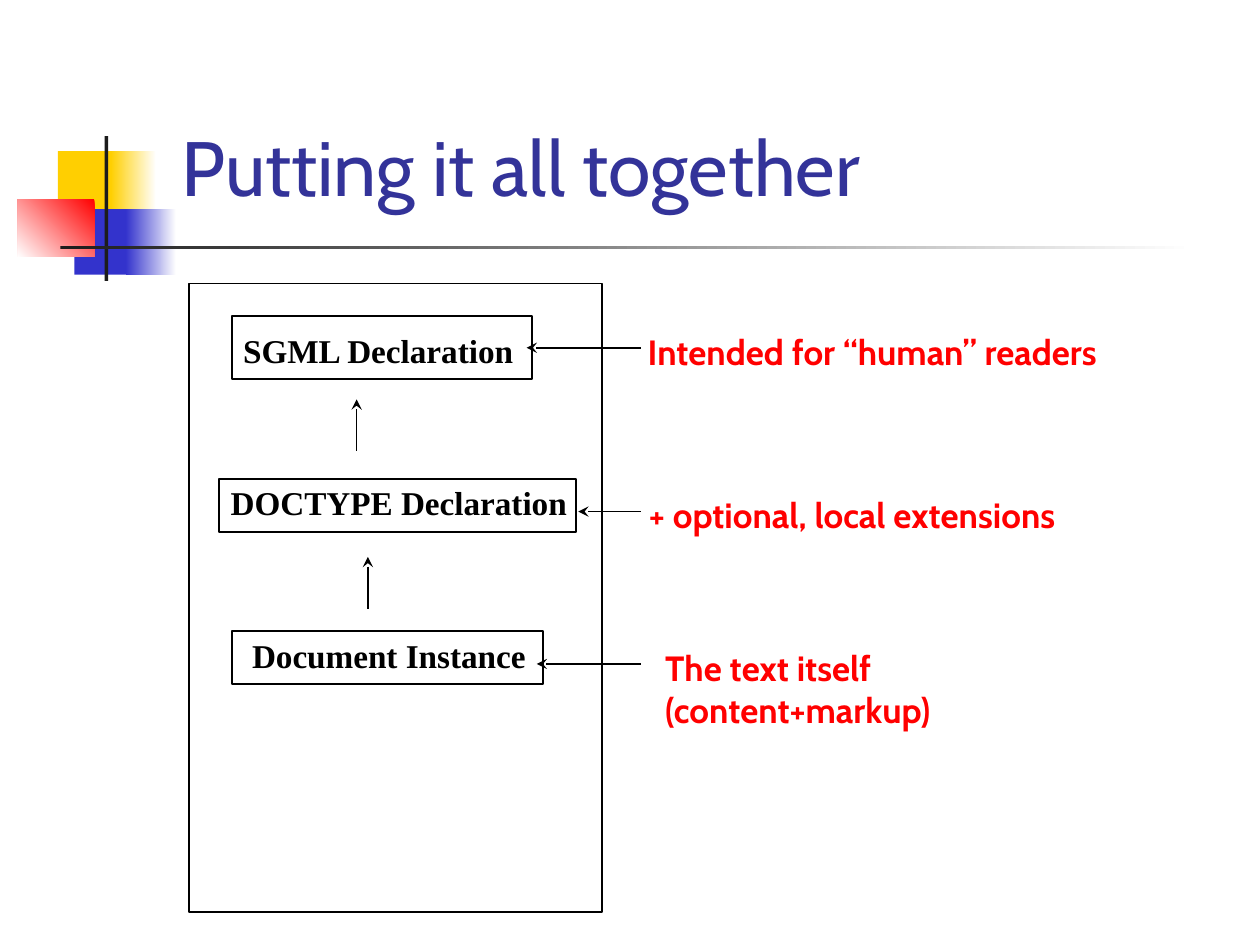
from lxml.etree import SubElement
from pptx import Presentation
from pptx.dml.color import RGBColor
from pptx.enum.shapes import MSO_CONNECTOR, MSO_SHAPE
from pptx.enum.text import MSO_ANCHOR, MSO_AUTO_SIZE, PP_ALIGN
from pptx.oxml.ns import qn
from pptx.util import Inches, Pt

WHITE = RGBColor(0xFF, 0xFF, 0xFF)
BLACK = RGBColor(0x00, 0x00, 0x00)
YELLOW = RGBColor(0xFF, 0xCF, 0x01)
BLUE = RGBColor(0x33, 0x33, 0xCC)
RED = RGBColor(0xFF, 0x00, 0x00)
DARK = RGBColor(0x1C, 0x1C, 0x1C)
TITLE_BLUE = RGBColor(0x33, 0x33, 0x99)


def add_rect(s, x, y, w, h):
    """Add a rectangle without shadow, fill or line."""
    sp = s.shapes.add_shape(MSO_SHAPE.RECTANGLE, Inches(x), Inches(y), Inches(w), Inches(h))
    sp.shadow.inherit = False
    sp.fill.background()
    sp.line.fill.background()
    return sp


def add_block(s, box, color, fade_angle=None):
    """Add a solid block, or one fading to white along an angle."""
    fill = add_rect(s, *box).fill
    if fade_angle is None:
        fill.solid()
        fill.fore_color.rgb = color
        return
    fill.gradient()
    fill.gradient_angle = fade_angle
    for stop, rgb, position in zip(fill.gradient_stops, (color, WHITE), (0, 1)):
        stop.color.rgb = rgb
        stop.position = position


def add_frame(s, *box):
    """Add an unfilled rectangle with a thin black outline."""
    sp = add_rect(s, *box)
    sp.line.color.rgb = BLACK
    sp.line.width = Pt(1)


def add_arrow(s, head, tail):
    """Add a thin black line with a stealth arrowhead at its start."""
    points = [Inches(v) for v in (*head, *tail)]
    cxn = s.shapes.add_connector(MSO_CONNECTOR.STRAIGHT, *points)
    cxn.line.color.rgb = BLACK
    cxn.line.width = Pt(1)
    SubElement(cxn.line._get_or_add_ln(), qn("a:headEnd"), type="stealth")
    SubElement(cxn._element.spPr, qn("a:effectLst"))


def write(tf, text, font, size, color, bold=False, inset=(0.12, 0.06)):
    """Fill a text frame with one formatted left-aligned paragraph."""
    tf.word_wrap = True
    tf.vertical_anchor = MSO_ANCHOR.TOP
    tf.margin_left = tf.margin_right = Inches(inset[0])
    tf.margin_top = tf.margin_bottom = Inches(inset[1])
    p = tf.paragraphs[0]
    p.text = text
    p.alignment = PP_ALIGN.LEFT
    for r in p.runs:
        r.font.name = font
        r.font.size = Pt(size)
        r.font.bold = bold
        r.font.color.rgb = color


def add_text(s, box, text, **fmt):
    """Add a bold text box that grows with its text."""
    tf = s.shapes.add_textbox(*[Inches(v) for v in box]).text_frame
    write(tf, text, bold=True, **fmt)
    tf.auto_size = MSO_AUTO_SIZE.SHAPE_TO_FIT_TEXT


def add_title(s, box, text):
    """Place and format the title placeholder."""
    sp = s.shapes.title
    sp.left, sp.top, sp.width, sp.height = [Inches(v) for v in box]
    write(sp.text_frame, text, font="Cabin", size=44, color=TITLE_BLUE, inset=(0.1, 0.05))
    sp.text_frame.auto_size = MSO_AUTO_SIZE.NONE


def add_ornament(s):
    """Draw the coloured squares and the crossing bars."""
    add_block(s, (0.46, 1.2, 0.48, 0.52), YELLOW)
    add_block(s, (0.88, 1.2, 0.36, 0.52), YELLOW, 0)
    add_block(s, (0.59, 1.66, 0.46, 0.52), BLUE)
    add_block(s, (1, 1.66, 0.4, 0.52), BLUE, 0)
    add_block(s, (0.14, 1.58, 0.61, 0.46), RED, 225)
    add_block(s, (0.83, 1.08, 0.03, 1.15), DARK)
    add_block(s, (0.48, 1.95, 9, 0.03), DARK, 0)


def main():
    """Build the slide and save it."""
    prs = Presentation()
    prs.slide_width, prs.slide_height = Inches(10), Inches(7.5)
    s = prs.slides.add_slide(prs.slide_layouts[5])
    add_ornament(s)
    add_title(s, (1.34, 0.9, 6.93, 0.72), "Putting it all together")

    part_fmt = dict(font="Times New Roman", size=19, color=BLACK)
    note_fmt = dict(font="Cabin", size=20, color=RED)
    add_frame(s, 1.5, 2.25, 3.28, 4.99)
    parts = [
        ("SGML Declaration", (1.81, 2.56, 2.49, 0.44), (1.84, 2.51, 2.38, 0.5)),
        ("DOCTYPE Declaration", (1.71, 3.77, 3.02, 0.44), (1.74, 3.8, 2.83, 0.42)),
        ("Document Instance", (1.88, 4.98, 2.51, 0.44), (1.84, 5.01, 2.47, 0.42)),
    ]
    for text, box, frame in parts:
        add_frame(s, *frame)
        add_text(s, box, text, **part_fmt)

    notes = [
        ("Intended for “human” readers", (5.02, 2.56, 4.62, 0.46), 4.18, 2.76),
        ("+ optional, local extensions", (5.03, 3.86, 4.25, 0.46), 4.59, 4.06),
        ("The text itself\v(content+markup)", (5.16, 5.07, 3.26, 0.79), 4.26, 5.27),
    ]
    for text, box, x, y in notes:
        add_text(s, box, text, **note_fmt)
        add_arrow(s, (x, y), (5.09, y))

    for x, y in ((2.83, 3.17), (2.92, 4.42)):
        add_arrow(s, (x, y), (x, y + 0.41))
    prs.save("out.pptx")


if __name__ == "__main__":
    main()
